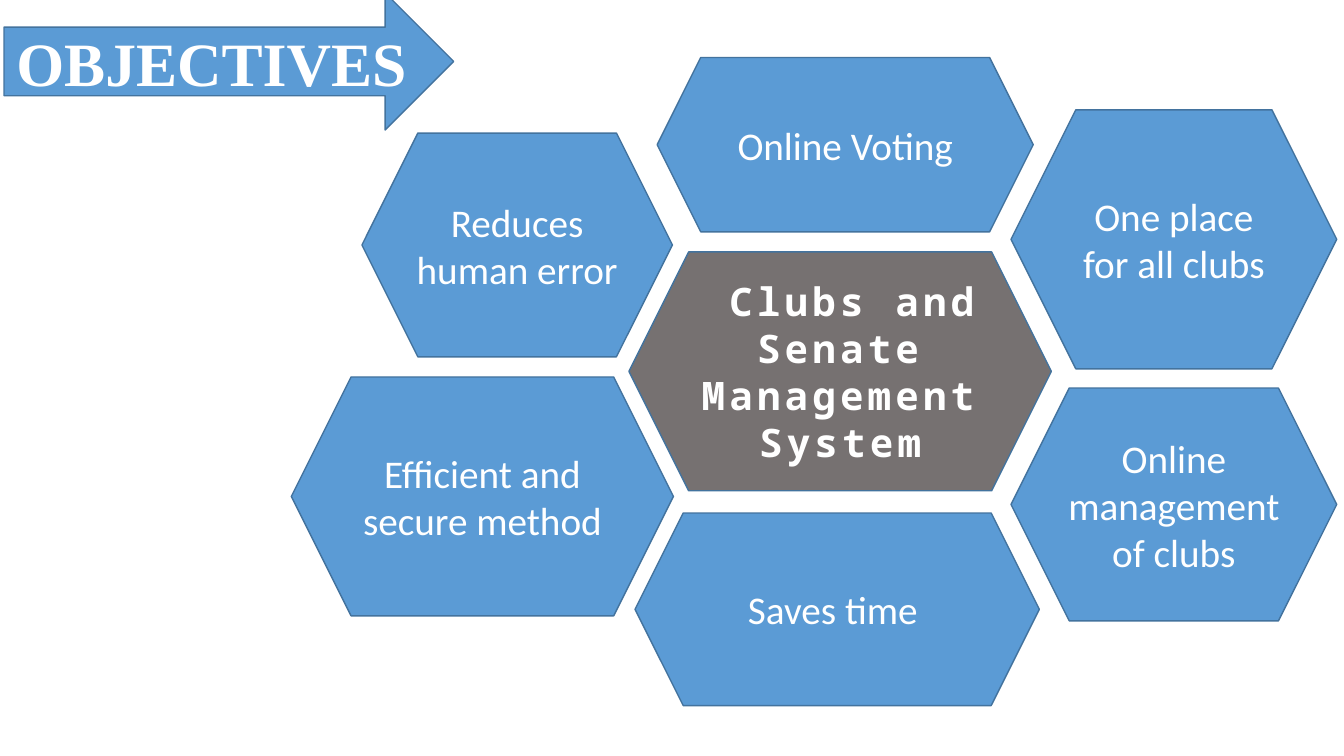
"""Objectives slide: a titled arrow and six hexagons around a central system."""
from dataclasses import dataclass

from pptx import Presentation
from pptx.dml.color import RGBColor
from pptx.enum.shapes import MSO_SHAPE
from pptx.enum.text import MSO_ANCHOR, MSO_AUTO_SIZE, PP_ALIGN
from pptx.shapes.autoshape import Shape
from pptx.slide import Slide
from pptx.text.text import TextFrame
from pptx.util import Inches, Pt

ARROW, HEXAGON = MSO_SHAPE.RIGHT_ARROW, MSO_SHAPE.HEXAGON
MIDDLE, CENTER = MSO_ANCHOR.MIDDLE, PP_ALIGN.CENTER
NO_FIT = MSO_AUTO_SIZE.NONE
WIDTH, HEIGHT = Inches(13.333), Inches(7.5)
TITLE_ONLY = 5


@dataclass(frozen=True)
class Theme:
    """Colours, fonts and type sizes of the slide."""
    blue: RGBColor = RGBColor(0x5B, 0x9B, 0xD5)
    edge: RGBColor = RGBColor(0x43, 0x73, 0x9E)
    gray: RGBColor = RGBColor(0x76, 0x71, 0x71)
    white: RGBColor = RGBColor(0xFF, 0xFF, 0xFF)
    title_font: str = "Times New Roman"
    body_font: str = "Calibri"
    hub_font: str = "Noto Sans Mono"
    title_size: Pt = Pt(44)
    body_size: Pt = Pt(28)
    line_width: Pt = Pt(1)
    hub_spacing: str = "300"


@dataclass(frozen=True)
class Box:
    """A rectangle in percent of the slide's width and height."""
    x: float
    y: float
    w: float
    h: float

    def frame(self) -> dict[str, int]:
        """Return the rectangle as shape attributes."""
        return {
            "left": round(WIDTH * self.x / 100),
            "top": round(HEIGHT * self.y / 100),
            "width": round(WIDTH * self.w / 100),
            "height": round(HEIGHT * self.h / 100),
        }


@dataclass(frozen=True)
class Cell:
    """A hexagon with its label."""
    text: str
    box: Box
    is_hub: bool = False


THEME = Theme()
ARROW_BOX = Box(0.3, -0.93, 33.46, 18.13)
TITLE_BOX = Box(0.3, 3.6, 30.9, 9.07)
CELLS = (
    Cell("Online Voting", Box(48.9, 7.6, 27.98, 23.07)),
    Cell("Saves time ", Box(47.25, 67.87, 30.08, 25.47)),
    Cell("One place for all clubs", Box(75.23, 14.53, 24.23, 34.27)),
    Cell("Online management of clubs", Box(75.23, 51.33, 24.23, 30.8)),
    Cell(" Clubs and Senate Management System",
         Box(46.8, 33.33, 31.43, 31.6), is_hub=True),
    Cell("Reduces human error", Box(26.93, 17.6, 23.1, 29.6)),
    Cell("Efficient and secure method", Box(21.68, 49.87, 28.43, 31.6)),
)


def apply(target: object, values: dict[str, object]) -> None:
    """Set each named attribute on the target."""
    for name, value in values.items():
        setattr(target, name, value)


def add_shape(s: Slide, kind: MSO_SHAPE, box: Box, fill: RGBColor) -> Shape:
    """Add a filled, outlined shape without a shadow."""
    sp = s.shapes.add_shape(kind, *box.frame().values())
    sp.shadow.inherit = False
    sp.fill.solid()
    sp.fill.fore_color.rgb = fill
    sp.line.color.rgb = THEME.edge
    sp.line.width = THEME.line_width
    return sp


def write(tf: TextFrame, text: str, font: str, size: Pt, bold: bool,
          wrap: bool = True) -> None:
    """Write one centred white paragraph."""
    apply(tf, {"word_wrap": wrap, "auto_size": NO_FIT,
               "vertical_anchor": MIDDLE})
    p = tf.paragraphs[0]
    p.alignment = CENTER
    r = p.add_run()
    r.text = text
    apply(r.font, {"name": font, "size": size, "bold": bold})
    r.font.color.rgb = THEME.white


def add_title(s: Slide) -> None:
    """Set the title on top of its arrow."""
    arrow = add_shape(s, ARROW, ARROW_BOX, THEME.blue)
    title = s.shapes.title
    apply(title, TITLE_BOX.frame())
    write(title.text_frame, "OBJECTIVES", THEME.title_font,
          THEME.title_size, bold=True, wrap=False)
    arrow.element.addnext(title.element)


def add_cell(s: Slide, cell: Cell) -> None:
    """Add a labelled hexagon, in gray and spaced type for the hub."""
    fill = THEME.gray if cell.is_hub else THEME.blue
    font = THEME.hub_font if cell.is_hub else THEME.body_font
    tf = add_shape(s, HEXAGON, cell.box, fill).text_frame
    write(tf, cell.text, font, THEME.body_size, bold=cell.is_hub)
    if cell.is_hub:
        r = tf.paragraphs[0].runs[0]
        r.font._element.set("spc", THEME.hub_spacing)


def main() -> None:
    """Build and save the slide."""
    prs = Presentation()
    apply(prs, {"slide_width": WIDTH, "slide_height": HEIGHT})
    s = prs.slides.add_slide(prs.slide_layouts[TITLE_ONLY])
    add_title(s)
    for cell in CELLS:
        add_cell(s, cell)
    prs.save("out.pptx")


if __name__ == "__main__":
    main()
